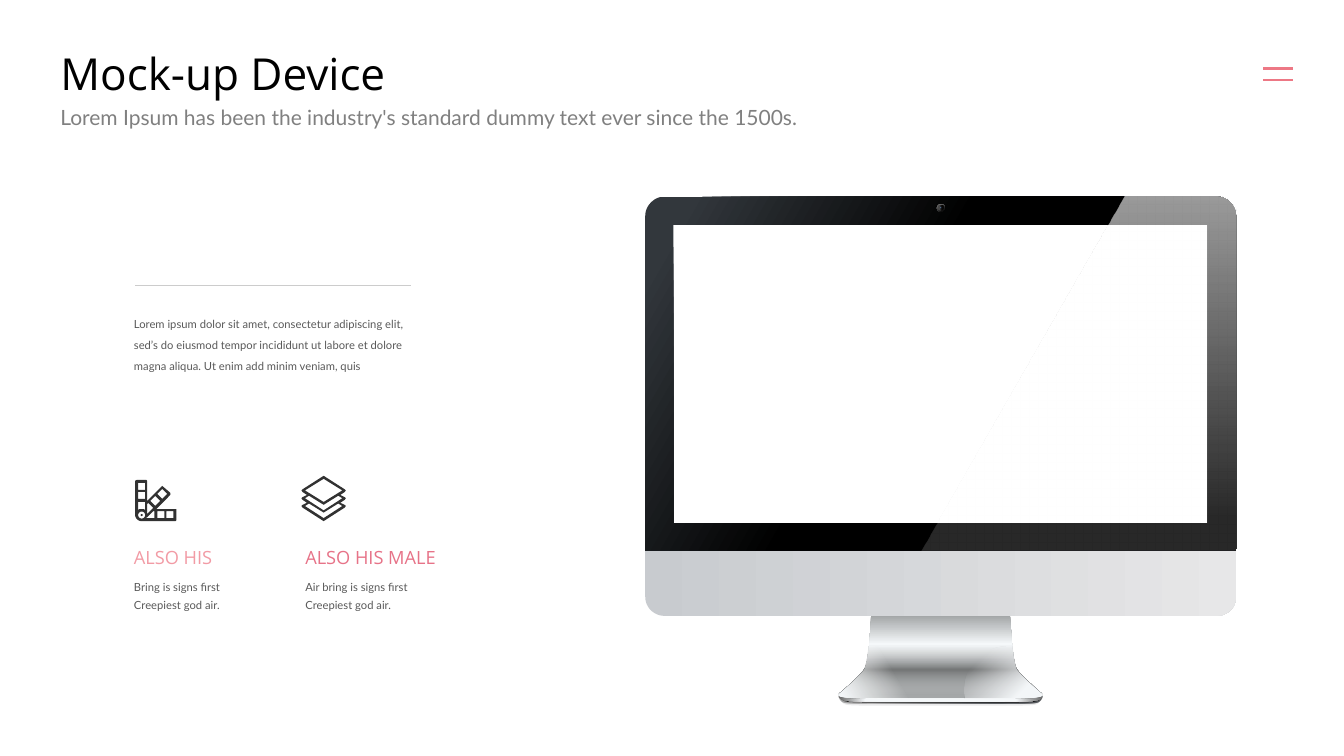
import math

from lxml import etree
from pptx import Presentation
from pptx import util as u
from pptx.dml.color import RGBColor
from pptx.enum import shapes, text
from pptx.oxml.ns import qn

INK, GREY, ROSE = "323232", "595959", "ED7885"


def rgb(code):
    return RGBColor.from_string(code)


def set_alpha(clr, percent):
    etree.SubElement(clr, qn("a:alpha"), val=str(percent * 1000))


def paint(sp, fill, angle=0, radial=False):
    sp.shadow.inherit = False
    sp.line.fill.background()
    if not isinstance(fill, list):
        code, alpha = fill if isinstance(fill, tuple) else (fill, 100)
        sp.fill.solid()
        sp.fill.fore_color.rgb = rgb(code)
        if alpha < 100:
            set_alpha(next(sp._element.spPr.iter(qn("a:srgbClr"))), alpha)
        return
    sp.fill.gradient()
    sp.fill.gradient_angle = (360 - angle) % 360
    grad = sp._element.spPr.find(qn("a:gradFill"))
    stops = grad.find(qn("a:gsLst"))
    for old in list(stops):
        stops.remove(old)
    for pos, code, alpha in fill:
        gs = etree.SubElement(stops, qn("a:gs"), pos=str(pos * 1000))
        set_alpha(etree.SubElement(gs, qn("a:srgbClr"), val=code), alpha)
    if radial:
        grad.remove(grad.find(qn("a:lin")))
        circle = etree.SubElement(grad, qn("a:path"), path="circle")
        etree.SubElement(circle, qn("a:fillToRect"), l="100000", t="100000")


def trace(segments, steps=12):
    pts = []
    for seg in segments:
        if len(seg) == 2:
            pts.append(seg)
            continue
        controls = [pts[-1], seg[:2], seg[2:4], seg[4:]]
        for i in range(1, steps + 1):
            t = i / steps
            weights = [math.comb(3, k) * t**k * (1 - t) ** (3 - k) for k in range(4)]
            pts.append(tuple(sum(w * c[a] for w, c in zip(weights, controls)) for a in (0, 1)))
    return pts


def flip(pts):
    return [(-x, y) for x, y in reversed(pts)]


def ring(cx, cy, r, n=24):
    return [(cx + r * math.cos(2 * math.pi * i / n), cy + r * math.sin(2 * math.pi * i / n)) for i in range(n)]


def outline(parent, left, top, contours, fill, angle=0, radial=False):
    placed = [[(u.Inches(left + x), u.Inches(top + y)) for x, y in c] for c in contours]
    builder = parent.build_freeform(*placed[0][0])
    for i, pts in enumerate(placed):
        if i:
            builder.move_to(*pts[0])
        builder.add_line_segments(pts[1:], close=True)
    paint(builder.convert_to_shape(), fill, angle, radial)


def rule(parent, left, top, width, color, weight):
    ends = [u.Inches(v) for v in (left, top, left + width, top)]
    s = parent.add_connector(shapes.MSO_CONNECTOR.STRAIGHT, *ends)
    s.line.color.rgb, s.line.width = rgb(color), u.Pt(weight)
    etree.SubElement(s._element.spPr, qn("a:effectLst"))


def write(tf, words, size, name, color, spacing=None):
    tf.word_wrap = True
    p = tf.paragraphs[0]
    p.alignment = text.PP_ALIGN.LEFT
    if spacing:
        p.line_spacing = u.Pt(spacing)
    r = p.add_run()
    r.text = words
    for key, value in {"size": u.Pt(size), "name": name}.items():
        setattr(r.font, key, value)
    r.font.color.rgb = rgb(color)


def textbox(s, box, *style):
    tf = s.shapes.add_textbox(*map(u.Inches, box)).text_frame
    write(tf, *style)
    tf.auto_size = text.MSO_AUTO_SIZE.SHAPE_TO_FIT_TEXT


def header(s, left, top, width):
    sp = s.shapes.title
    box = {"left": left, "top": top, "width": width, "height": 0.66}
    for key, value in box.items():
        setattr(sp, key, u.Inches(value))
    write(sp.text_frame, "Mock-up Device", 31.5, "Open Sans", "000000")
    sp.text_frame.vertical_anchor = text.MSO_ANCHOR.MIDDLE
    textbox(s, (left, top + 0.6, width, 0.35),
            "Lorem Ipsum has been the industry's standard dummy text ever since the 1500s.",
            15, "Lato", "808080")
    menu = s.shapes.add_group_shape().shapes
    for dy in (0.29, 0.4):
        rule(menu, left + 12.03, top + dy, 0.29, ROSE, 1.5)


def intro(s, left, top):
    rule(s.shapes, left + 0.11, top, 2.74, "CCCCCC", 0.5)
    textbox(s, (left, top + 0.19, 3.02, 0.71),
            "Lorem ipsum dolor sit amet, consectetur adipiscing elit, sed’s do eiusmod tempor "
            "incididunt ut labore et dolore magna aliqua. Ut enim add minim veniam, quis",
            8, "Lato", GREY, 15)


def swatch_icon(s, left, top):
    def rect(x, y, w, h):
        return [(x, y), (x + w, y), (x + w, y + h), (x, y + h)]

    body = trace([(0.41, 0.29), (0.21, 0.29), (0.35, 0.15), (0.35, 0.13), (0.28, 0.07), (0.27, 0.06),
                  (0.12, 0.21), (0.12, 0.01), (0.11, 0), (0.02, 0), (0, 0.01), (0, 0.35),
                  (0, 0.38, 0.03, 0.41, 0.06, 0.41), (0.4, 0.41), (0.41, 0.4)])
    left_cells = [rect(0.03, y, 0.07, 0.07) for y in (0.03, 0.12)]
    low_cells = [rect(x, 0.31, 0.07, 0.07) for x in (0.22, 0.31)]
    hub = trace([(0.1, 0.3), (0.09, 0.29, 0.07, 0.29, 0.06, 0.29),
                 (0.05, 0.29, 0.04, 0.29, 0.03, 0.3), (0.03, 0.22), (0.1, 0.22)])
    tilted = [[(x, y), (x + 0.05, y + 0.05), (x, y + 0.1), (x - 0.05, y + 0.05)]
              for x, y in ((0.27, 0.09), (0.2, 0.16))]
    joints = [[(0.12, 0.24), (0.13, 0.23), (0.18, 0.28), (0.12, 0.34)],
              [(0.19, 0.38), (0.11, 0.38), (0.18, 0.31), (0.19, 0.31)]]
    dial = [ring(0.065, 0.35, r) for r in (0.035, 0.01)]
    outline(s.shapes, left, top, [body, hub] + left_cells + low_cells + tilted + joints + dial, INK)


def layers_icon(s, left, top):
    steps = (0.145, 0.223, 0.3)
    edge = [(0, 0)]
    for y in steps:
        edge += [(0.21, y - 0.01), (0.22, y), (0.21, y + 0.015), (0.165, y + 0.045)]
    edge = edge[:-1] + [(0, 0.45)]
    sheet = [(0, 0.03), (0.185, 0.145), (0, 0.26)]
    gaps = [[(0, y + 0.065), (0.145, y - 0.025), (0.185, y), (0, y + 0.12)] for y in steps[1:]]
    outline(s.shapes, left, top, [half + flip(half) for half in [edge, sheet] + gaps], INK)


def feature(s, left, top, icon, icon_at, heading, color, words):
    icon(s, left + icon_at[0], top + icon_at[1])
    textbox(s, (left, top + 0.94, 1.39, 0.44), words, 8, "Lato", GREY, 13)
    textbox(s, (left, top + 0.69, 1.52, 0.28), heading, 13, "Open Sans", color, 13)


def lip(parent, cx, top, reach, tip, inner, bottom, fill):
    half = trace([(0, inner), (0.62, inner), (0.8, inner, reach, inner, reach, tip),
                  (reach, tip + 0.03, reach - 0.02, bottom - 0.02, reach - 0.06, bottom - 0.01),
                  (0.9, bottom, 0.8, bottom, 0.62, bottom), (0, bottom)])
    outline(parent, cx, top, [half + flip(half)], fill)


def stand(parent, cx, top):
    flank = [(0.79, 0.59, 0.97, 0.74, 0.99, 0.76), (1.01, 0.77, 1.04, 0.8, 0.92, 0.81),
             (0.8, 0.82, 0.62, 0.82, 0.62, 0.82)]
    half = trace([(0, 0), (0.69, 0), (0.69, 0, 0.71, 0.46, 0.75, 0.52), *flank, (0, 0.82)])
    lip(parent, cx, top, 1, 0.79, 0.85, 0.86, ("000000", 75))
    metal = [(0, "A4A7A8", 100), (34, "F5F8FA", 100), (66, "A4A7A8", 100)]
    shade = [(36, "FFFFFF", 0), (65, "000000", 30), (95, "FFFFFF", 0)]
    for fill in (metal, shade):
        outline(parent, cx, top, [half + flip(half)], fill, 90)
    lip(parent, cx, top, 1.01, 0.79, 0.82, 0.85,
        [(0, "6A6A6A", 100), (13, "F5F8FA", 100), (87, "F5F8FA", 100), (100, "6A6A6A", 100)])
    gleam = trace([(0.67, 0.3), (0.71, 0.3), (0.72, 0.4, 0.74, 0.49, 0.75, 0.52), *flank,
                   (0.25, 0.82), (0.24, 0.79, 0.24, 0.75, 0.24, 0.72), (0.24, 0.49, 0.43, 0.3, 0.67, 0.3)])
    outline(parent, cx, top, [flip(gleam)], [(35, "FFFFFF", 0), (94, "F5F8FA", 100)], 150)
    outline(parent, cx, top, [gleam], [(21, "F5F8FA", 100), (78, "EEEFF1", 0)], radial=True)


def monitor(s, left, top, width):
    parent = s.shapes.add_group_shape().shapes
    cx, base, chin = width / 2, 4.16, 3.51
    lip(parent, left + cx, top + base, 1, 0.8, 0.87, 0.89, ("32373C", 10))
    lip(parent, left + cx, top + base, 1.01, 0.78, 0.84, 0.87, [(17, "000000", 30), (76, "32373C", 80)])
    corner = [(cx - 0.19, 0), (cx - 0.09, 0, cx, 0.09, cx, 0.19), (cx, chin)]
    foot = trace([(cx, chin), (cx, 3.97), (cx, 4.08, cx - 0.09, base, cx - 0.19, base)])
    outline(parent, left + cx, top, [foot + flip(foot)], [(0, "C8CBCF", 100), (100, "E7E7E8", 100)])
    frame = trace(corner)
    screen = [(2.65, 0.28), (2.65, 3.24)]
    outline(parent, left + cx, top, [frame + flip(frame), screen + flip(screen)],
            [(6, "32373C", 100), (42, "000000", 100)], 30)
    stand(parent, left + cx, top + base)
    outline(parent, left + cx, top, [trace([(-0.19, chin), (1.82, 0), *corner])],
            [(0, "FFFFFF", 60), (91, "FFFFFF", 15)], 90)
    lens = [(0.08, [(28, "666666", 100), (86, "090909", 100)], 59),
            (0.06, [(30, "474747", 100), (70, "060606", 100)], 0), (0.01, "557DB1", 0)]
    for size, fill, angle in lens:
        box = (left + cx - size / 2, top + 0.11 - size / 2, size, size)
        paint(parent.add_shape(shapes.MSO_SHAPE.OVAL, *map(u.Inches, box)), fill, angle)


def main():
    prs = Presentation()
    prs.slide_width, prs.slide_height = u.Inches(13.33), u.Inches(7.5)
    s = prs.slides.add_slide(prs.slide_layouts[5])
    header(s, 0.5, 0.39, 12.33)
    intro(s, 1.23, 2.83)
    feature(s, 1.23, 4.72, swatch_icon, (0.11, 0.04), "ALSO HIS", "F29BA5",
            "Bring is signs first Creepiest god air.")
    feature(s, 2.93, 4.72, layers_icon, (0.28, 0), "ALSO HIS MALE", "E77388",
            "Air bring is signs first Creepiest god air.")
    monitor(s, 6.4, 1.95, 5.86)
    prs.save("out.pptx")


if __name__ == "__main__":
    main()
